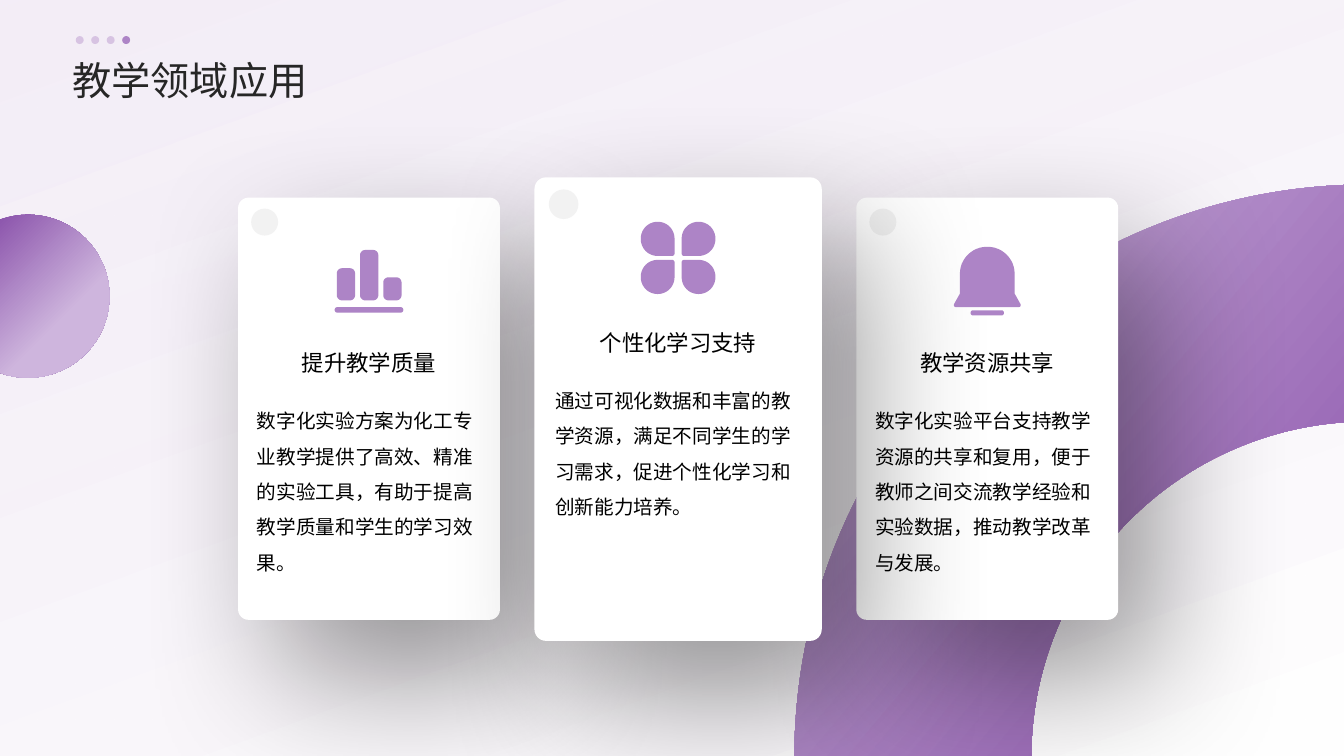
import math
from dataclasses import dataclass

import pptx
import pptx.dml.color
import pptx.enum.shapes
import pptx.enum.text
import pptx.oxml
import pptx.oxml.ns
import pptx.util

Cm, Pt = pptx.util.Cm, pptx.util.Pt
RGB = pptx.dml.color.RGBColor.from_string
qn = pptx.oxml.ns.qn
SHAPE = pptx.enum.shapes.MSO_SHAPE
ALIGN = pptx.enum.text.PP_ALIGN
ANCHOR = pptx.enum.text.MSO_ANCHOR


@dataclass(frozen=True)
class Theme:
    font: str = "Noto Sans CJK SC"
    title: str = "262626"
    text: str = "000000"
    accent: str = "AD84C6"
    light: str = "CEB5DD"
    dark: str = "874EA9"
    haze: str = "EFE6F4"
    card: str = "FFFFFF"
    spot: str = "F2F2F2"
    title_size: int = 28
    head_size: int = 16
    body_size: int = 14


T = Theme()


# ---- Drawing helpers (all lengths in cm) ----
def set_alphas(sp, alphas):
    colours = sp.element.spPr.iter(qn("a:srgbClr"))
    for clr, alpha in zip(list(colours), alphas):
        pptx.oxml.parse_xml  # namespace-aware elements come from the shape tree
        clr.makeelement(qn("a:alpha"))
        node = clr.makeelement(qn("a:alpha"), {"val": str(alpha * 1000)})
        clr.append(node)


def finish(sp, colour, alpha=100):
    sp.shadow.inherit = False
    sp.line.fill.background()
    sp.fill.solid()
    sp.fill.fore_color.rgb = RGB(colour)
    if alpha < 100:
        set_alphas(sp, [alpha])
    return sp


def finish_gradient(sp, stops, clockwise):
    sp.shadow.inherit = False
    sp.line.fill.background()
    sp.fill.gradient()
    sp.fill.gradient_angle = 360 - clockwise
    for stop, (position, colour) in zip(sp.fill.gradient_stops, stops):
        stop.position = position
        stop.color.rgb = RGB(colour)
    return sp


def add_preset(shapes, kind, x, y, w, h):
    return shapes.add_shape(kind, Cm(x), Cm(y), Cm(w), Cm(h))


def add_outline(shapes, contours):
    fb = None
    for contour in contours:
        start, *rest = [(Cm(x), Cm(y)) for x, y in contour]
        if fb is None:
            fb = shapes.build_freeform(*start, scale=1.0)
        else:
            fb.move_to(*start)
        fb.add_line_segments(rest, close=True)
    return fb.convert_to_shape()


def rounded(corners, steps=12):
    """Contour through (x, y, radius) corners, each rounded by a cubic curve."""
    points = []
    for i, (x, y, radius) in enumerate(corners):
        ends = []
        for nx, ny, _ in (corners[i - 1], corners[(i + 1) % len(corners)]):
            k = radius / math.hypot(nx - x, ny - y)
            ends.append((x + (nx - x) * k, y + (ny - y) * k))
        (ax, ay), (bx, by) = ends
        for n in range(steps + 1 if radius else 1):
            t = n / steps
            # Weights of the two ends; the remainder belongs to the corner
            wa = (1 - t) ** 3 + 3 * 0.45 * t * (1 - t) ** 2
            wb = t ** 3 + 3 * 0.45 * t * t * (1 - t)
            wc = 1 - wa - wb
            points.append((ax * wa + bx * wb + x * wc, ay * wa + by * wb + y * wc))
    return points


def bar(x, y, w, h, r):
    return rounded([(x, y, r), (x + w, y, r), (x + w, y + h, r), (x, y + h, r)])


def add_text(slide, box, text, size, colour, spacing,
             align=ALIGN.LEFT, anchor=ANCHOR.TOP):
    tf = slide.shapes.add_textbox(*map(Cm, box)).text_frame
    tf.word_wrap = True
    tf.vertical_anchor = anchor
    tf.margin_left = tf.margin_right = tf.margin_top = tf.margin_bottom = 0
    p = tf.paragraphs[0]
    p.alignment = align
    p.line_spacing = spacing
    r = p.add_run()
    r.text = text
    r.font.size = Pt(size)
    r.font.name = T.font
    r.font.color.rgb = RGB(colour)
    rpr = r.font._element
    rpr.append(rpr.makeelement(qn("a:ea"), {"typeface": T.font}))


# ---- Icons: contours around a centre line cx, below top ----
def chart_icon(cx, top):
    bars = [bar(cx - 0.81 + 0.585 * i, top + 1.27 - h, 0.46, h, 0.13)
            for i, h in enumerate((0.81, 1.27, 0.58))]
    return [bar(cx - 0.865, top + 1.44, 1.73, 0.14, 0.07)] + bars


def clover_icon(cx, top):
    cy = top + 0.91
    petals = []
    for sx in (-1, 1):
        for sy in (-1, 1):
            x1, x2 = cx + sx * 0.09, cx + sx * 0.94
            y1, y2 = cy + sy * 0.05, cy + sy * 0.91
            petals.append(rounded([(x1, y1, 0.06), (x2, y1, 0.42),
                                   (x2, y2, 0.42), (x1, y2, 0.42)]))
    return petals


def bell_icon(cx, top):
    bell = rounded([(cx - 0.69, top, 0.68), (cx + 0.69, top, 0.68),
                    (cx + 0.69, top + 1.18, 0), (cx + 0.88, top + 1.52, 0.1),
                    (cx - 0.88, top + 1.52, 0.1), (cx - 0.69, top + 1.18, 0)])
    return [bell, bar(cx - 0.42, top + 1.6, 0.84, 0.13, 0.06)]


# ---- Regions ----
def draw_background(slide, w, h):
    haze = add_preset(slide.shapes, SHAPE.RECTANGLE, 0, 0, w, h)
    finish_gradient(haze, [(0, T.haze), (1, T.card)], 70)
    set_alphas(haze, [67, 92])

    # Quarter ring at the lower right
    cx, cy = 34.47, 19.1
    angles = [math.radians(90 + a) for a in range(91)]
    ring = [(cx + r * math.cos(a), cy - r * math.sin(a))
            for r, turn in ((14.45, angles), (8.48, angles[::-1])) for a in turn]
    finish_gradient(add_outline(slide.shapes, [ring]),
                    [(0.01, T.light), (1, T.dark)], 40)

    # Disc at the left edge
    disc = add_preset(slide.shapes, SHAPE.OVAL, -1.35, 5.41, 4.11, 4.11)
    finish_gradient(disc, [(0.13, T.dark), (0.68, T.light)], 45)


def draw_panel(slide, box):
    x, y, w, h = box
    sp = add_preset(slide.shapes, SHAPE.ROUNDED_RECTANGLE, *box)
    sp.adjustments[0] = 0.04
    finish(sp, T.card)
    effects = sp.element.spPr.find(qn("a:effectLst"))
    effects.append(pptx.oxml.parse_xml(
        f'<a:outerShdw {pptx.oxml.ns.nsdecls("a")} blurRad="{Pt(100)}" '
        f'dist="{Pt(49)}" dir="{55 * 60000}" algn="ctr" rotWithShape="0">'
        '<a:srgbClr val="000000"><a:alpha val="40000"/></a:srgbClr></a:outerShdw>'))
    size = 0.103 * w
    finish(add_preset(slide.shapes, SHAPE.OVAL, x + 0.05 * w, y + 0.026 * h,
                      size, size), T.spot)


def draw_content(slide, box, icon, icon_top, head, body):
    x, y, w, _ = box
    inset = 0.072 * w
    left, width = x + inset, w - 2 * inset
    finish(add_outline(slide.shapes, icon(x + w / 2, y + icon_top)), T.accent)
    add_text(slide, (left, y + 3.36, width, 1.4), head, T.head_size, T.text, 1.3,
             ALIGN.CENTER, ANCHOR.MIDDLE)
    add_text(slide, (left, y + 5.04, width, 4.88), body, T.body_size, T.text, 1.5)


def draw_header(slide, x, y, w):
    add_text(slide, (x, y + 0.39, w, 1.3), "教学领域应用", T.title_size, T.title, 1.1,
             anchor=ANCHOR.MIDDLE)
    dots = slide.shapes.add_group_shape()
    for i in range(4):
        dot = add_preset(dots.shapes, SHAPE.OVAL, x + 0.08 + 0.39 * i, y, 0.2, 0.2)
        finish(dot, T.accent, 100 if i == 3 else 40)


CARDS = [
    ((6, 4.98, 6.6, 10.64), chart_icon, 1.32, "提升教学质量",
     "数字化实验方案为化工专业教学提供了高效、精准的实验工具，有助于提高教学质量和学生的学习效果。"),
    ((21.58, 4.98, 6.6, 10.64), bell_icon, 1.24, "教学资源共享",
     "数字化实验平台支持教学资源的共享和复用，便于教师之间交流教学经验和实验数据，推动教学改革与发展。"),
    ((13.47, 4.47, 7.24, 11.68), clover_icon, 1.12, "个性化学习支持",
     "通过可视化数据和丰富的教学资源，满足不同学生的学习需求，促进个性化学习和创新能力培养。"),
]


def main():
    prs = pptx.Presentation()
    prs.slide_width, prs.slide_height = Cm(33.87), Cm(19.05)
    slide = prs.slides.add_slide(prs.slide_layouts[6])
    draw_background(slide, 33.87, 19.05)
    for card in CARDS:
        draw_panel(slide, card[0])
    for card in CARDS:
        draw_content(slide, *card)
    draw_header(slide, 1.83, 0.91, 30.18)
    prs.save("out.pptx")


if __name__ == "__main__":
    main()
